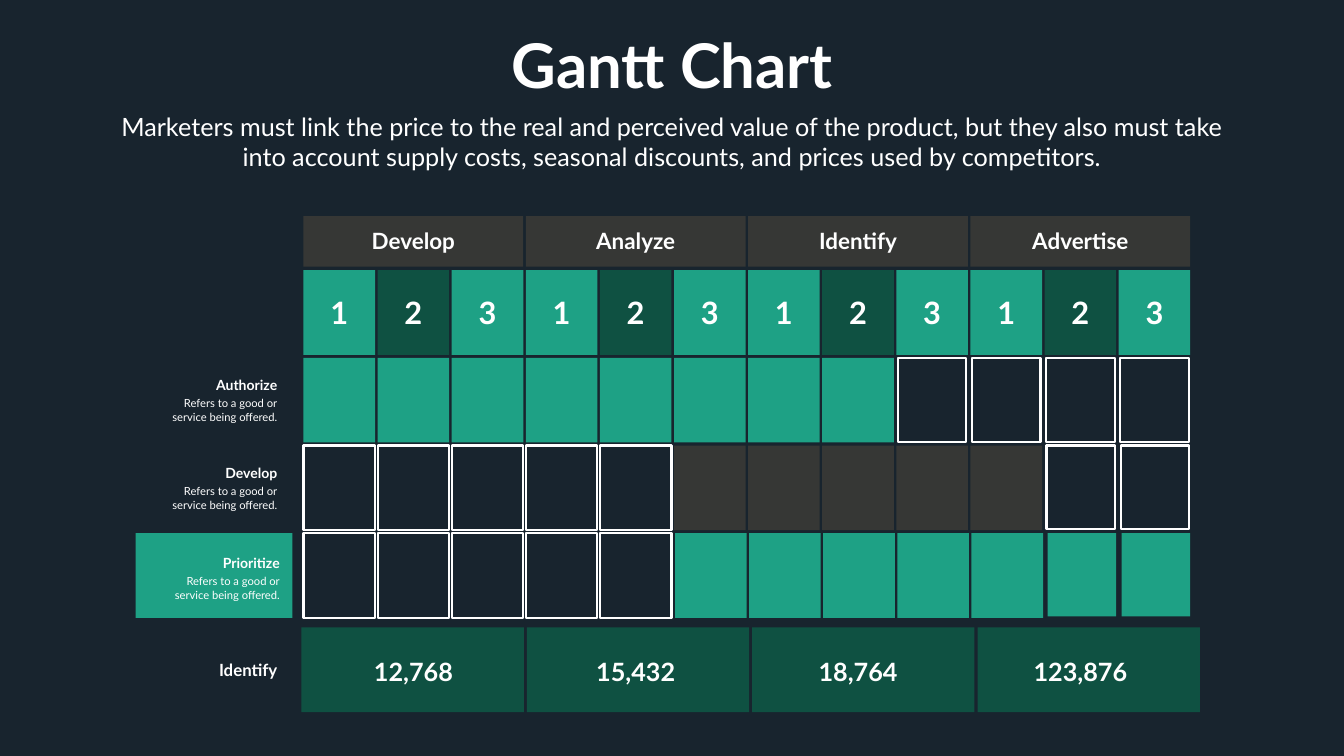
from pptx import Presentation
from pptx.dml.color import RGBColor
from pptx.enum.shapes import MSO_SHAPE
from pptx.enum.text import MSO_ANCHOR, MSO_AUTO_SIZE, PP_ALIGN
from pptx.util import Inches, Pt

COLORS = {
    "background": "18242E",
    "white": "FFFFFF",
    "green": "1EA185",
    "dark green": "0F5142",
    "gray": "363735",
}

prs = Presentation()
prs.slide_width, prs.slide_height = Inches(26.66), Inches(15)
slide = prs.slides.add_slide(prs.slide_layouts[6])
slide.background.fill.solid()
slide.background.fill.fore_color.rgb = RGBColor.from_string(COLORS["background"])


def add_box(left, top, width, height, color=None):
    """Add a filled rectangle, or a white outline when no color is given."""
    box = slide.shapes.add_shape(
        MSO_SHAPE.RECTANGLE, Inches(left), Inches(top), Inches(width), Inches(height))
    box.shadow.inherit = False
    if color:
        box.fill.solid()
        box.fill.fore_color.rgb = RGBColor.from_string(COLORS[color])
        box.line.fill.background()
    else:
        box.fill.background()
        box.line.color.rgb = RGBColor.from_string(COLORS["white"])
        box.line.width = Pt(3)


def add_text(text, left, top, width, height, size,
             align=PP_ALIGN.CENTER, bold=True, wrap=False, anchor=MSO_ANCHOR.TOP):
    box = slide.shapes.add_textbox(Inches(left), Inches(top), Inches(width), Inches(height))
    frame = box.text_frame
    frame.word_wrap = wrap
    frame.auto_size = MSO_AUTO_SIZE.SHAPE_TO_FIT_TEXT
    frame.vertical_anchor = anchor
    frame.text = text
    for paragraph in frame.paragraphs:
        paragraph.alignment = align
        for run in paragraph.runs:
            run.font.name = "Lato"
            run.font.size = Pt(size)
            run.font.bold = bold
            run.font.color.rgb = RGBColor.from_string(COLORS["white"])


# Title and introduction
add_text("Gantt Chart", 9.97, 0.49, 6.73, 1.58, 88)
add_text("Marketers must link the price to the real and perceived value of the product, "
         "but they also must take into account supply costs, seasonal discounts, "
         "and prices used by competitors.",
         2.22, 2.15, 22.21, 1.31, 36, bold=False, wrap=True)

# Grid: four phases of three columns each
GRID_LEFT, PITCH = 6.02, 1.47
CELL_W, CELL_H = 1.42, 1.68
PHASE_W, PHASE_PITCH = 4.36, 3 * PITCH
TOTAL_LEFT, TOTAL_W, TOTAL_PITCH = 5.98, 4.41, 4.47

# Phase headings, numbered columns and totals
phases = [("Develop", 1.88, "12,768", 1.78), ("Analyze", 1.79, "15,432", 1.78),
          ("Identify", 1.76, "18,764", 1.78), ("Advertise", 2.13, "123,876", 2.08)]
for i, (phase, phase_text_w, total, total_text_w) in enumerate(phases):
    phase_left = GRID_LEFT + i * PHASE_PITCH
    phase_center = phase_left + PHASE_W / 2
    add_box(phase_left, 4.29, PHASE_W, 1, "gray")
    add_text(phase, phase_center - phase_text_w / 2, 4.45, phase_text_w, 0.64, 32)
    for n in range(3):
        left = phase_left + n * PITCH
        add_box(left, 5.36, CELL_W, CELL_H, "dark green" if n == 1 else "green")
        add_text(str(n + 1), left + (CELL_W - 0.56) / 2, 5.78, 0.56, 0.84, 44)
    add_box(TOTAL_LEFT + i * TOTAL_PITCH, 12.45, TOTAL_W, CELL_H, "dark green")
    add_text(total, phase_center - total_text_w / 2, 12.97, total_text_w, 0.71, 36)
add_text("Identify", 4.23, 13.04, 1.37, 0.5, 24, PP_ALIGN.RIGHT, anchor=MSO_ANCHOR.MIDDLE)

# Task rows: label, top, label top, label right edge, and
# spans of (first column, end column, color, left shift, width, height)
add_box(2.69, 10.58, 3.11, CELL_H, "green")
tasks = [
    ("Authorize", 7.1, 7.42, 5.6, [
        (0, 8, "green", 0, CELL_W, CELL_H),
        (8, 12, None, 0.03, 1.36, 1.67)]),
    ("Develop", 8.84, 9.17, 5.6, [
        (0, 5, None, 0, CELL_W, CELL_H),
        (5, 10, "gray", 0, CELL_W, CELL_H),
        (10, 12, None, 0.04, 1.36, 1.65)]),
    ("Prioritize", 10.58, 10.95, 5.65, [
        (0, 5, None, 0, CELL_W, CELL_H),
        (5, 10, "green", 0.02, CELL_W, CELL_H),
        (10, 12, "green", 0.06, 1.36, 1.65)]),
]
for task, top, label_top, label_right, spans in tasks:
    add_text(task, label_right - 1.43, label_top, 1.43, 0.44, 20, PP_ALIGN.RIGHT)
    add_text("Refers to a good or\nservice being offered.",
             label_right - 2.33, label_top + 0.4, 2.33, 0.64, 16,
             PP_ALIGN.RIGHT, bold=False, wrap=True)
    for first, end, color, shift, width, height in spans:
        for column in range(first, end):
            add_box(GRID_LEFT + column * PITCH + shift, top, width, height, color)

prs.save("out.pptx")
